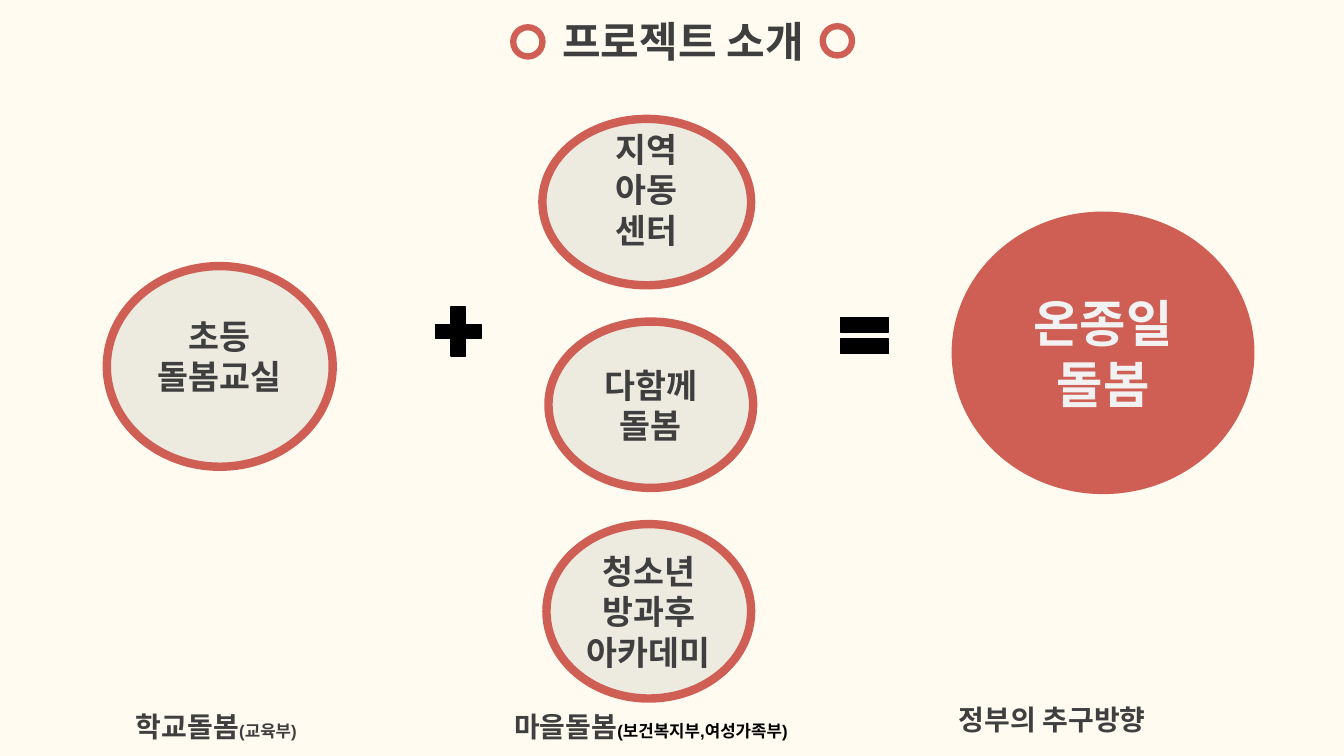
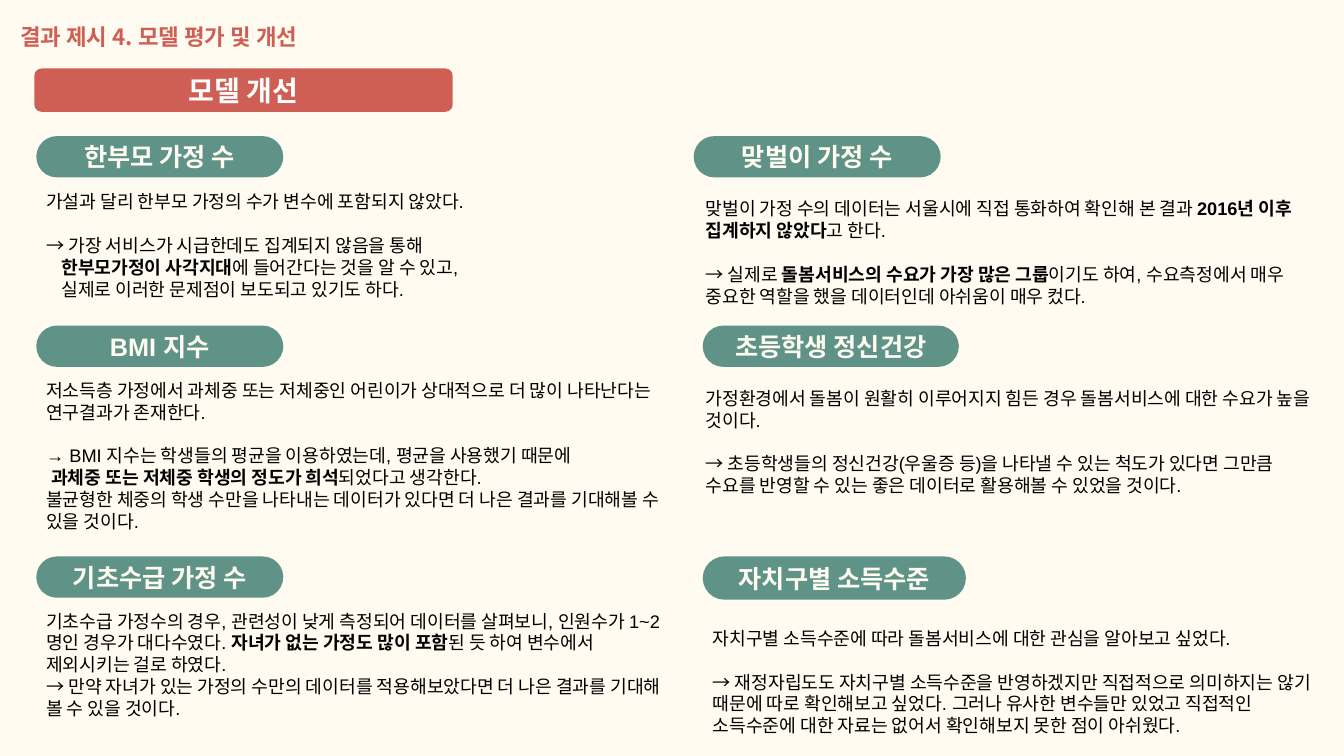
from lxml.etree import SubElement
from pptx import Presentation
from pptx.dml.color import RGBColor
from pptx.enum.shapes import MSO_SHAPE
from pptx.enum.text import MSO_ANCHOR, MSO_AUTO_SIZE, PP_ALIGN
from pptx.oxml.ns import qn
from pptx.util import Inches, Pt

CREAM = RGBColor(0xFF, 0xFB, 0xF0)
RED = RGBColor(0xCF, 0x5F, 0x54)
GREEN = RGBColor(0x5F, 0x93, 0x87)
DARK = RGBColor(0x3F, 0x3F, 0x3F)
PALE = RGBColor(0xF2, 0xF2, 0xF2)
WHITE = RGBColor(0xFF, 0xFF, 0xFF)
BLACK = RGBColor(0x00, 0x00, 0x00)
FONT = "Arial"
KOREAN_FONT = "Noto Sans CJK KR"
BLANK_LINE = 15.7


def prepare_frame(shape, anchor=MSO_ANCHOR.TOP, align=PP_ALIGN.LEFT, inset=0.05, bottom=None):
    """Set wrapping, anchor and insets, and return the text frame."""
    frame = shape.text_frame
    frame.word_wrap = True
    frame.auto_size = MSO_AUTO_SIZE.NONE
    frame.vertical_anchor = anchor
    frame.margin_left = frame.margin_right = Inches(0.1)
    frame.margin_top = Inches(inset)
    frame.margin_bottom = Inches(bottom or inset)
    frame.paragraphs[0].alignment = align
    return frame


def add_run(paragraph, text, size, color, bold=True, font=FONT):
    run = paragraph.add_run()
    run.text = text
    run.font.size = Pt(size)
    run.font.name = font
    run.font.bold = bold
    run.font.color.rgb = color


presentation = Presentation()
presentation.slide_width = Inches(13.33)
presentation.slide_height = Inches(7.5)
background = presentation.slide_master.background.fill
background.solid()
background.fore_color.rgb = CREAM
title_only = presentation.slide_layouts[5]

# Slide 1: project introduction
slide = presentation.slides.add_slide(title_only)
title = slide.shapes.title
title.left, title.top, title.width, title.height = map(Inches, (5.24, 0.1, 3.07, 0.44))
frame = prepare_frame(title, align=PP_ALIGN.CENTER)
add_run(frame.paragraphs[0], "프로젝트 소개", 30, DARK)

for left, top in ((5.09, 0.27), (8.16, 0.26)):
    ring = slide.shapes.add_shape(
        MSO_SHAPE.OVAL, Inches(left), Inches(top), Inches(0.29), Inches(0.29))
    ring.shadow.inherit = False
    ring.fill.background()
    ring.line.color.rgb = RED
    ring.line.width = Pt(4.5)

# left, top, width, height, lines, text size, bottom inset, filled with red
care_circles = [
    (1.06, 2.64, 2.24, 1.99, ["초등", "돌봄교실"], 24, 0.25, False),
    (5.38, 1.18, 2.07, 1.65, ["지역", "아동", "센터"], 24, 0.3, False),
    (5.44, 3.19, 2.03, 1.65, ["다함께", "돌봄"], 24, 0.05, False),
    (5.42, 5.2, 2.03, 1.73, ["청소년", "방과후", "아카데미"], 24, 0.05, False),
    (9.48, 2.14, 2.92, 2.72, ["온종일 돌봄"], 36, 0.05, True),
]
for left, top, width, height, lines, size, bottom, is_goal in care_circles:
    circle = slide.shapes.add_shape(
        MSO_SHAPE.OVAL, Inches(left), Inches(top), Inches(width), Inches(height))
    circle.shadow.inherit = False
    circle.fill.solid()
    circle.fill.fore_color.rgb = RED if is_goal else DARK
    if not is_goal:
        fill_color = circle._element.spPr.find(qn("a:solidFill")).find(qn("a:srgbClr"))
        SubElement(fill_color, qn("a:alpha")).set("val", "9000")
    circle.line.color.rgb = RED
    circle.line.width = Pt(6)
    frame = prepare_frame(circle, MSO_ANCHOR.MIDDLE, bottom=bottom)
    for index, line in enumerate(lines):
        paragraph = frame.add_paragraph() if index else frame.paragraphs[0]
        paragraph.alignment = PP_ALIGN.CENTER
        add_run(paragraph, line, size, PALE if is_goal else DARK)

operators = [
    (MSO_SHAPE.MATH_PLUS, 4.24, 2.96, 0.61, 0.66),
    (MSO_SHAPE.MATH_EQUAL, 8.25, 3.03, 0.65, 0.6),
]
for kind, left, top, width, height in operators:
    operator = slide.shapes.add_shape(
        kind, Inches(left), Inches(top), Inches(width), Inches(height))
    operator.shadow.inherit = False
    operator.fill.solid()
    operator.fill.fore_color.rgb = BLACK
    operator.line.color.rgb = BLACK
    operator.line.width = Pt(1)

captions = [
    (1.25, 6.99, 1.98, "학교돌봄", "(교육부)", DARK),
    (5, 6.99, 3.17, "마을돌봄", "(보건복지부,여성가족부)", BLACK),
    (9.41, 6.92, 2.33, "정부의 추구방향", None, DARK),
]
for left, top, width, label, ministry, ministry_color in captions:
    caption = slide.shapes.add_textbox(Inches(left), Inches(top), Inches(width), Inches(0.44))
    paragraph = prepare_frame(caption).paragraphs[0]
    add_run(paragraph, label, 20, DARK)
    if ministry:
        add_run(paragraph, ministry, 12, ministry_color)

# Slide 2: model improvement
slide = presentation.slides.add_slide(title_only)
title = slide.shapes.title
title.left, title.top, title.width, title.height = map(Inches, (0.1, 0.13, 3.29, 0.45))
paragraph = prepare_frame(title, inset=0.1).paragraphs[0]
add_run(paragraph, "결과 ", 16, RED, font="Arial Narrow")
add_run(paragraph, "제시 4. 모델 평가 및 개선", 16, RED, font=KOREAN_FONT)

banner = slide.shapes.add_shape(
    MSO_SHAPE.ROUNDED_RECTANGLE, Inches(0.34), Inches(0.68), Inches(4.15), Inches(0.43))
banner.shadow.inherit = False
banner.fill.solid()
banner.fill.fore_color.rgb = RED
banner.line.fill.background()
frame = prepare_frame(banner, MSO_ANCHOR.MIDDLE, PP_ALIGN.CENTER, 0.1)
add_run(frame.paragraphs[0], "모델 개선", 20, WHITE)

# heading, pill (left, top, width, height), body (left, top),
# paragraphs (text with ** around bold words, space after in points, indent in inches)
topics = [
    ("한부모 가정 수", (0.36, 1.35, 2.45, 0.41), (0.36, 1.79), [
        ("가설과 달리 한부모 가정의 수가 변수에 포함되지 않았다.", BLANK_LINE, 0),
        ("→ 가장 서비스가 시급한데도 집계되지 않음을 통해", 0, 0),
        ("**한부모가정이 사각지대**에 들어간다는 것을 알 수 있고,", 0, 0.15),
        ("실제로 이러한 문제점이 보도되고 있기도 하다.", 0, 0.15)]),
    ("맞벌이 가정 수", (6.88, 1.35, 2.45, 0.41), (6.9, 1.86), [
        ("맞벌이 가정 수의 데이터는 서울시에 직접 통화하여 확인해 본 결과 "
         "**2016년 이후 집계하지 않았다**고 한다.", BLANK_LINE, 0),
        ("→ 실제로 **돌봄서비스의 수요가 가장 많은 그룹**이기도 하여, 수요측정에서 매우 "
         "중요한 역할을 했을 데이터인데 아쉬움이 매우 컸다.", 0, 0)]),
    ("BMI 지수", (0.36, 3.23, 2.45, 0.41), (0.36, 3.66), [
        ("저소득층 가정에서 과체중 또는 저체중인 어린이가 상대적으로 더 많이 나타난다는 "
         "연구결과가 존재한다.", BLANK_LINE, 0),
        ("→ BMI 지수는 학생들의 평균을 이용하였는데, 평균을 사용했기 때문에", 0, 0),
        ("**과체중 또는 저체중 학생의 정도가 희석**되었다고 생각한다.", 0, 0.05),
        ("불균형한 체중의 학생 수만을 나타내는 데이터가 있다면 더 나은 결과를 기대해볼 "
         "수 있을 것이다.", 0, 0)]),
    ("초등학생 정신건강", (6.97, 3.23, 2.54, 0.41), (6.9, 3.74), [
        ("가정환경에서 돌봄이 원활히 이루어지지 힘든 경우 돌봄서비스에 대한 수요가 높을 "
         "것이다.", BLANK_LINE, 0),
        ("→ 초등학생들의 정신건강(우울증 등)을 나타낼 수 있는 척도가 있다면 그만큼 "
         "수요를 반영할 수 있는 좋은 데이터로 활용해볼 수 있었을 것이다.", 0, 0)]),
    ("기초수급 가정 수", (0.36, 5.52, 2.45, 0.41), (0.36, 5.95), [
        ("기초수급 가정수의 경우, 관련성이 낮게 측정되어 데이터를 살펴보니, 인원수가 "
         "1~2명인 경우가 대다수였다. **자녀가 없는 가정도 많이 포함**된 듯 하여 변수에서 "
         "제외시키는 걸로 하였다.", 0, 0),
        ("→ 만약 자녀가 있는 가정의 수만의 데이터를 적용해보았다면 더 나은 결과를 "
         "기대해 볼 수 있을 것이다.", 0, 0)]),
    ("자치구별 소득수준", (6.97, 5.52, 2.61, 0.43), (6.97, 6.12), [
        ("자치구별 소득수준에 따라 돌봄서비스에 대한 관심을 알아보고 싶었다.", BLANK_LINE, 0),
        ("→ 재정자립도도 자치구별 소득수준을 반영하겠지만 직접적으로 의미하지는 않기 "
         "때문에 따로 확인해보고 싶었다. 그러나 유사한 변수들만 있었고 직접적인 "
         "소득수준에 대한 자료는 없어서 확인해보지 못한 점이 아쉬웠다.", 0, 0)]),
]
for heading, pill_box, (body_left, body_top), body_paragraphs in topics:
    group = slide.shapes.add_group_shape()
    pill = group.shapes.add_shape(MSO_SHAPE.ROUNDED_RECTANGLE, *map(Inches, pill_box))
    pill.adjustments[0] = 0.5
    pill.shadow.inherit = False
    pill.fill.solid()
    pill.fill.fore_color.rgb = GREEN
    pill.line.fill.background()
    frame = prepare_frame(pill, MSO_ANCHOR.MIDDLE, PP_ALIGN.CENTER)
    add_run(frame.paragraphs[0], heading, 18, CREAM)

    body = group.shapes.add_textbox(
        Inches(body_left), Inches(body_top), Inches(6.32), Inches(0.84))
    frame = prepare_frame(body, inset=0.1)
    for index, (text, space_after, indent) in enumerate(body_paragraphs):
        paragraph = frame.add_paragraph() if index else frame.paragraphs[0]
        paragraph.space_after = Pt(space_after)
        if indent:
            paragraph._p.get_or_add_pPr().set("marL", str(Inches(indent)))
        for part, words in enumerate(text.split("**")):
            if words:
                add_run(paragraph, words, 13, BLACK, bold=part % 2 == 1)

presentation.save("out.pptx")
